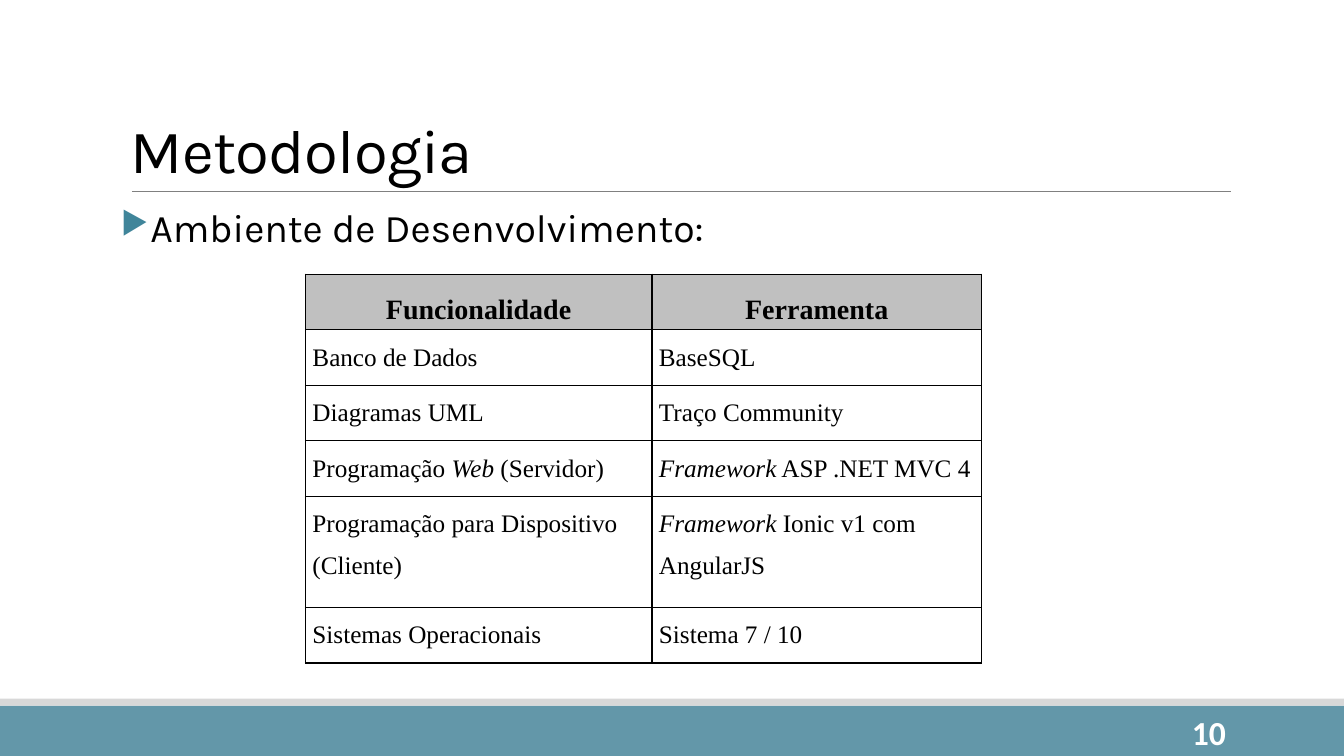
from lxml import etree
from pptx import Presentation
from pptx.dml.color import RGBColor
from pptx.enum.shapes import MSO_CONNECTOR, MSO_SHAPE
from pptx.enum.text import MSO_ANCHOR, PP_ALIGN
from pptx.oxml.ns import qn
from pptx.util import Pt

LEFT, CENTER, RIGHT = PP_ALIGN.LEFT, PP_ALIGN.CENTER, PP_ALIGN.RIGHT
TOP, MIDDLE, BOTTOM = MSO_ANCHOR.TOP, MSO_ANCHOR.MIDDLE, MSO_ANCHOR.BOTTOM
RECTANGLE, STRAIGHT = MSO_SHAPE.RECTANGLE, MSO_CONNECTOR.STRAIGHT

COLORS = {
    "black": "000000", "white": "FFFFFF", "band": "6397A9", "strip": "D8D8D8",
    "rule": "808080", "bullet": "40859A", "header": "C0C0C0",
}
HEADING, NUMBER, TABLE = "Karla", "Calibri", "Times New Roman"
WIDTH, HEIGHT = 960, 540
ROW_HEIGHT = 39.7

HEADERS = ["Funcionalidade", "Ferramenta"]
# Each cell is a list of spans; a span marked with * is italic.
TOOLS = [
    (["Banco de Dados"], ["BaseSQL"]),
    (["Diagramas UML"], ["Traço Community"]),
    (["Programação ", "*Web", " (Servidor)"], ["*Framework", " ASP .NET MVC 4"]),
    (["Programação para Dispositivo (Cliente)"],
     ["*Framework", " Ionic v1 com AngularJS"]),
    (["Sistemas Operacionais"], ["Sistema 7 / 10"]),
]


def color(name):
    """Return the named colour."""
    return RGBColor.from_string(COLORS[name])


def add_element(parent, tag, **attributes):
    """Append a DrawingML element with the given attributes."""
    element = etree.SubElement(parent, qn(tag))
    for key, value in attributes.items():
        element.set(key, str(value))
    return element


class SlideBuilder:
    """Draws styled elements on one slide."""

    def __init__(self, page):
        """Keep the slide to draw on."""
        self.page = page

    def bar(self, top, height, fill):
        """Add a full-width bar without outline."""
        shape = self.page.shapes.add_shape(
            RECTANGLE, Pt(0), Pt(top), Pt(WIDTH), Pt(height))
        shape.shadow.inherit = False
        shape.fill.solid()
        shape.fill.fore_color.rgb = color(fill)
        shape.line.fill.background()

    def rule(self, left, right, top):
        """Add a thin horizontal line."""
        line = self.page.shapes.add_connector(
            STRAIGHT, Pt(left), Pt(top), Pt(right), Pt(top))
        line.line.color.rgb = color("rule")
        line.line.width = Pt(0.5)
        add_element(line._element.spPr, "a:effectLst")

    def add_spans(self, para, spans, font, size, ink="black", bold=False):
        """Add the spans to a paragraph, run by run."""
        for text in spans:
            span = para.add_run()
            span.text = text.removeprefix("*")
            span.font.name, span.font.size = font, Pt(size)
            span.font.bold, span.font.italic = bold, text.startswith("*")
            span.font.color.rgb = color(ink)

    def text(self, area, words, font, size, ink="black", bold=False,
             align=LEFT, anchor=TOP, spacing=1.0, inset=7.2):
        """Add a text box with one paragraph and return the paragraph."""
        box = self.page.shapes.add_textbox(*(Pt(length) for length in area))
        frame = box.text_frame
        frame.word_wrap = True
        frame.vertical_anchor = anchor
        frame.margin_left = frame.margin_right = Pt(inset)
        para = frame.paragraphs[0]
        para.alignment, para.line_spacing = align, spacing
        self.add_spans(para, [words], font, size, ink, bold)
        return para

    def bullet(self, para, indent):
        """Give a paragraph a triangle bullet with a hanging indent."""
        properties = para._p.get_or_add_pPr()
        properties.set("marL", str(Pt(indent)))
        properties.set("indent", str(-Pt(indent)))
        tint = add_element(properties, "a:buClr")
        add_element(tint, "a:srgbClr", val=COLORS["bullet"])
        add_element(properties, "a:buSzPct", val=80000)
        add_element(properties, "a:buChar", char="▶")

    def cell(self, cell, spans, header=False):
        """Style and fill one table cell."""
        cell.margin_left = cell.margin_right = Pt(5)
        cell.margin_top = cell.margin_bottom = Pt(0)
        cell.vertical_anchor = MIDDLE if header else TOP
        para = cell.text_frame.paragraphs[0]
        para.alignment = CENTER if header else LEFT
        para.line_spacing, para.space_before = 1.5, Pt(6)
        self.add_spans(para, spans, TABLE, 20 if header else 18, bold=header)
        properties = cell._tc.get_or_add_tcPr()
        for side in ("a:lnL", "a:lnR", "a:lnT", "a:lnB"):
            border = add_element(properties, side, w=Pt(1))
            paint = add_element(border, "a:solidFill")
            add_element(paint, "a:srgbClr", val=COLORS["black"])
        if header:
            cell.fill.solid()
            cell.fill.fore_color.rgb = color("header")
        else:
            cell.fill.background()

    def table(self, left, top, widths, heights, rows):
        """Add a bordered table whose first row is the header."""
        frame = self.page.shapes.add_table(
            len(rows), len(widths), Pt(left), Pt(top),
            Pt(sum(widths)), Pt(sum(heights)))
        grid = frame.table
        for column, width in zip(grid.columns, widths):
            column.width = Pt(width)
        for index, (row, height) in enumerate(zip(grid.rows, heights)):
            row.height = Pt(height)
            for cell, spans in zip(row.cells, rows[index]):
                self.cell(cell, spans, header=index == 0)


def main():
    """Build and save the slide."""
    deck = Presentation()
    deck.slide_width, deck.slide_height = Pt(WIDTH), Pt(HEIGHT)
    slide = SlideBuilder(deck.slides.add_slide(deck.slide_layouts[6]))

    slide.bar(504, 36, "band")
    slide.bar(499, 5, "strip")
    slide.rule(94.3, 879, 136.8)
    title = slide.text((86.4, 22.3, 792, 114.5), "Metodologia", HEADING, 44,
                       anchor=BOTTOM, spacing=0.85)
    title.runs[0].font._element.set("spc", "-50")
    topic = slide.text((86.4, 145.4, 792, 40), "Ambiente de Desenvolvimento:",
                       HEADING, 28, spacing=0.9, inset=0)
    topic.space_before = Pt(10)
    slide.bullet(topic, 21)

    rows = [[[name] for name in HEADERS], *TOOLS]
    heights = [ROW_HEIGHT] * len(rows)
    heights[4] = 2 * ROW_HEIGHT
    slide.table(218.2, 195.8, [247.5, 235.5], heights, rows)
    slide.text((779.8, 508.3, 103, 28.8), "10", NUMBER, 24, "white",
               bold=True, align=RIGHT, anchor=MIDDLE)
    deck.save("out.pptx")


main()
